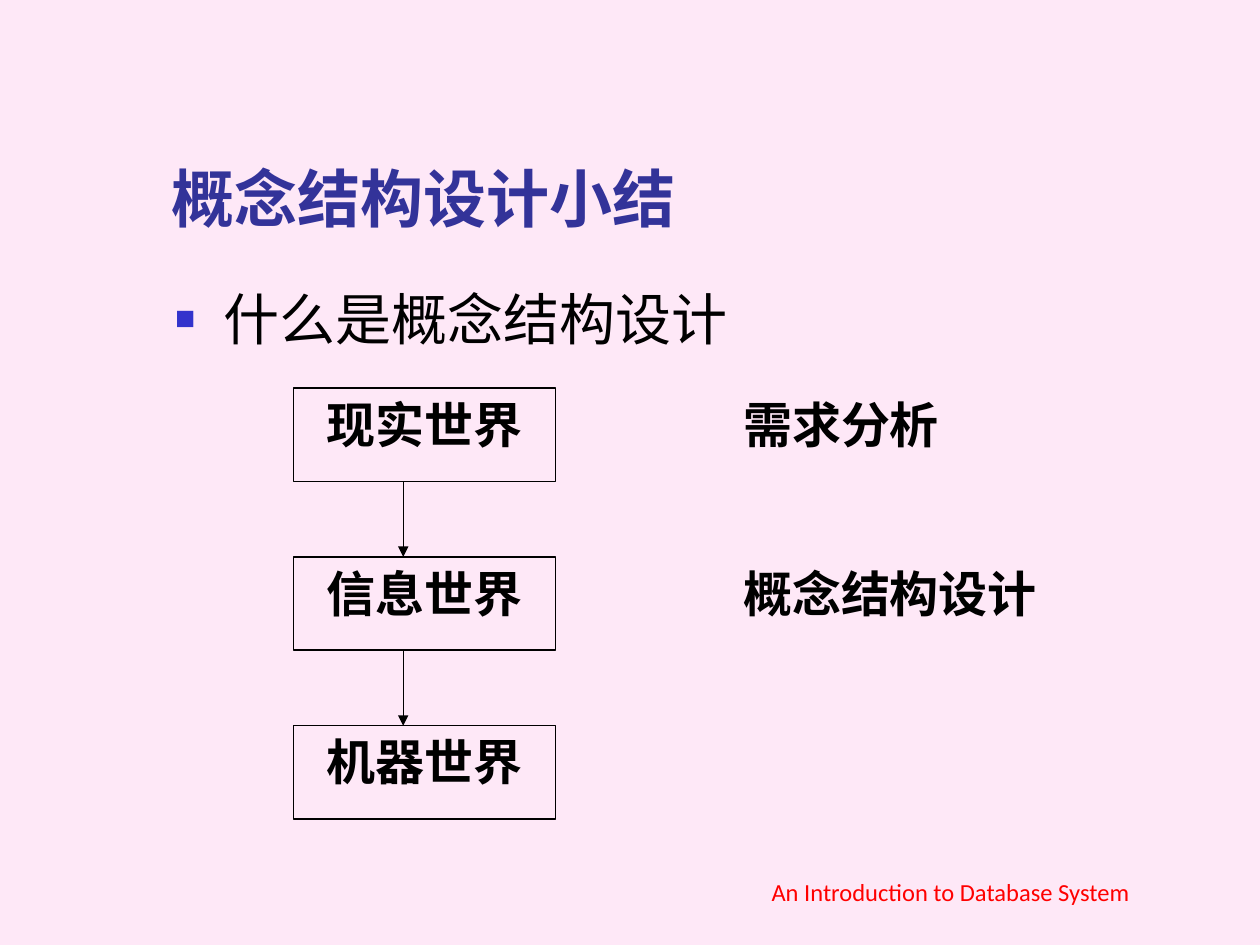
from dataclasses import dataclass

from lxml import etree
from pptx import Presentation
from pptx.dml.color import RGBColor
from pptx.enum.shapes import MSO_CONNECTOR, MSO_SHAPE
from pptx.enum.text import MSO_ANCHOR, MSO_AUTO_SIZE, PP_ALIGN
from pptx.oxml.ns import qn
from pptx.util import Inches, Pt

RECT = MSO_SHAPE.RECTANGLE
STRAIGHT = MSO_CONNECTOR.STRAIGHT
TOP, BOTTOM = MSO_ANCHOR.TOP, MSO_ANCHOR.BOTTOM
LEFT, CENTER, JUSTIFY = PP_ALIGN.LEFT, PP_ALIGN.CENTER, PP_ALIGN.JUSTIFY


@dataclass(frozen=True)
class Theme:
    background: str = "FEE8F7"
    title: str = "333399"
    bullet: str = "3333CC"
    ink: str = "000000"
    footer: str = "FF0000"
    heading_font: str = "Karla"
    diagram_font: str = "Times New Roman"
    footer_font: str = "Calibri"
    title_size: int = 36
    body_size: int = 32
    diagram_size: int = 28
    footer_size: int = 14
    line_width: float = 0.75


THEME = Theme()

BOX_LEFT, BOX_TOP, BOX_WIDTH, BOX_HEIGHT = 2.33, 3.08, 2.08, 0.74
ROW_STEP = 1.34
ARROW_X = 3.2
LABEL_LEFT, LABEL_HEIGHT = 5.8, 0.59
WORLDS = ["现实世界", "信息世界", "机器世界"]
PHASES = [("需求分析", 1.91), ("概念结构设计", 2.95)]


def rgb(value):
    return RGBColor.from_string(value)


def place(sp, left, top, width, height):
    sp.left, sp.top = Inches(left), Inches(top)
    sp.width, sp.height = Inches(width), Inches(height)


def write(sp, text, font=THEME.diagram_font, size=THEME.diagram_size,
          color=THEME.ink, bold=False, align=LEFT, anchor=TOP):
    tf = sp.text_frame
    tf.word_wrap = True
    tf.auto_size = MSO_AUTO_SIZE.NONE
    tf.vertical_anchor = anchor
    p = tf.paragraphs[0]
    p.alignment = align
    p.space_before = Pt(0)
    r = p.add_run()
    r.text = text
    r.font.name = font
    r.font.size = Pt(size)
    r.font.bold = bold
    r.font.color.rgb = rgb(color)
    return p


def set_bullet(p, char, color, percent, indent):
    pPr = p._p.get_or_add_pPr()
    pPr.set("marL", str(Inches(indent)))
    pPr.set("indent", str(-Inches(indent)))
    bu_color = etree.SubElement(pPr, qn("a:buClr"))
    etree.SubElement(bu_color, qn("a:srgbClr"), val=color)
    etree.SubElement(pPr, qn("a:buSzPct"), val=str(percent * 1000))
    etree.SubElement(pPr, qn("a:buChar"), char=char)


def add_label(slide, text, left, top, width, height, **fmt):
    sp = slide.shapes.add_textbox(Inches(left), Inches(top),
                                  Inches(width), Inches(height))
    write(sp, text, **fmt)


def add_box(slide, text, top):
    sp = slide.shapes.add_shape(RECT, Inches(BOX_LEFT), Inches(top),
                                Inches(BOX_WIDTH), Inches(BOX_HEIGHT))
    sp.shadow.inherit = False
    sp.fill.background()
    sp.line.color.rgb = rgb(THEME.ink)
    sp.line.width = Pt(THEME.line_width)
    write(sp, text, bold=True, align=CENTER)


def add_down_arrow(slide, x, top, bottom):
    line = slide.shapes.add_connector(STRAIGHT, Inches(x), Inches(top),
                                      Inches(x), Inches(bottom))
    line.line.color.rgb = rgb(THEME.ink)
    line.line.width = Pt(THEME.line_width)
    etree.SubElement(line.line._get_or_add_ln(), qn("a:tailEnd"), type="triangle")
    etree.SubElement(line._element.spPr, qn("a:effectLst"))


def add_headings(slide):
    title, body = slide.shapes.title, slide.placeholders[1]
    place(title, 1.26, 0.67, 8.52, 1.25)
    write(title, "概念结构设计小结", font=THEME.heading_font, size=THEME.title_size,
          color=THEME.title, bold=True, anchor=BOTTOM)
    place(body, 1.29, 2.21, 8.5, 4.5)
    p = write(body, "什么是概念结构设计", font=THEME.heading_font,
              size=THEME.body_size)
    set_bullet(p, "■", THEME.bullet, 60, 0.38)


def add_diagram(slide):
    tops = [BOX_TOP + i * ROW_STEP for i in range(len(WORLDS))]
    for text, top in zip(WORLDS, tops):
        add_box(slide, text, top)
    for top, next_top in zip(tops, tops[1:]):
        add_down_arrow(slide, ARROW_X, top + BOX_HEIGHT, next_top)
    for (text, width), top in zip(PHASES, tops):
        add_label(slide, text, LABEL_LEFT, top, width, LABEL_HEIGHT,
                  bold=True, align=JUSTIFY)


def main():
    prs = Presentation()
    prs.slide_width, prs.slide_height = Inches(10), Inches(7.5)
    slide = prs.slides.add_slide(prs.slide_layouts[1])
    slide.background.fill.solid()
    slide.background.fill.fore_color.rgb = rgb(THEME.background)
    add_headings(slide)
    add_diagram(slide)
    add_label(slide, "An Introduction to Database System", 5.5, 6.74, 4.09, 0.5,
              font=THEME.footer_font, size=THEME.footer_size,
              color=THEME.footer, align=CENTER, anchor=BOTTOM)
    prs.save("out.pptx")


if __name__ == "__main__":
    main()
